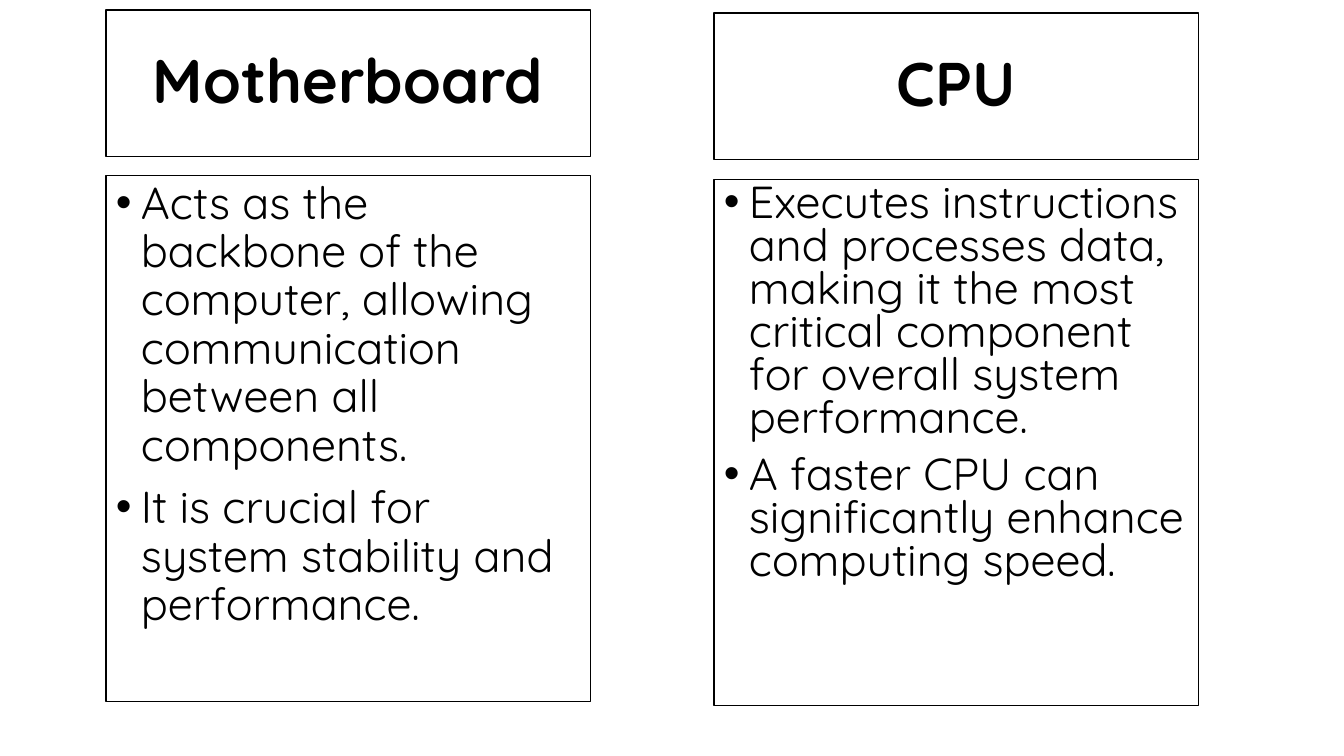
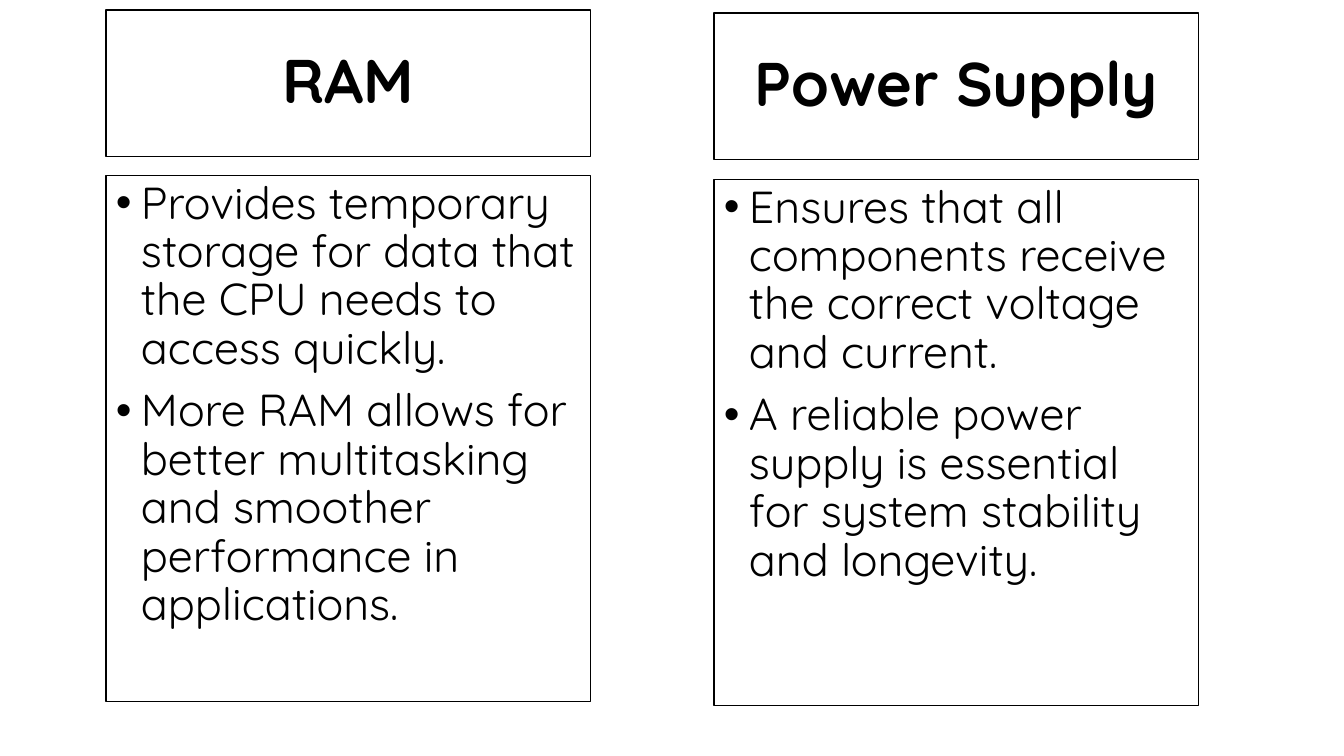
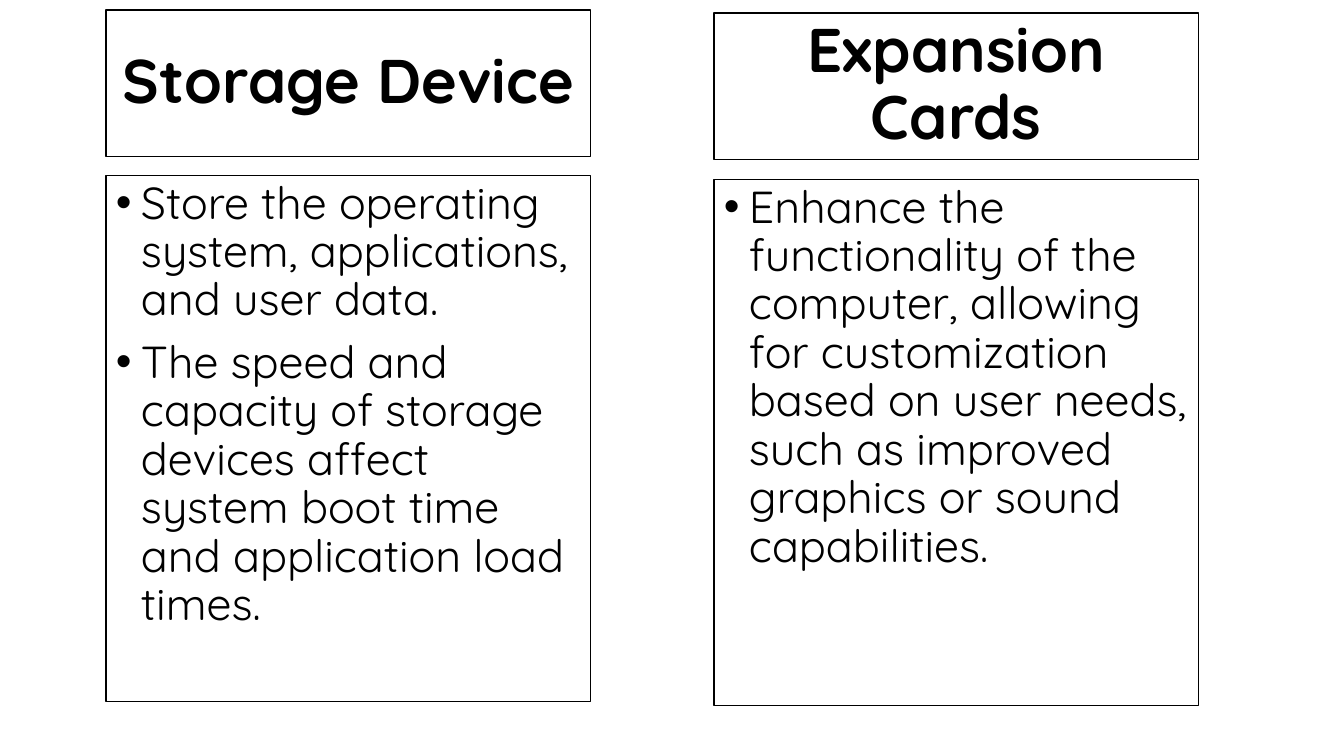
import pptx
import pptx.util
import pptx.dml.color
import pptx.enum.shapes
import pptx.enum.text
import pptx.oxml.ns
import lxml.etree

Inches = pptx.util.Inches
Pt = pptx.util.Pt
BLACK = pptx.dml.color.RGBColor(0x00, 0x00, 0x00)
WHITE = pptx.dml.color.RGBColor(0xFF, 0xFF, 0xFF)

# Left, heading top and points top of the two columns
LEFT_COLUMN = (1.05, 0.1, 1.74)
RIGHT_COLUMN = (7.08, 0.13, 1.78)

# Per slide, two components: name, points, line spacing of the points
COMPONENT_PAIRS = [
    [("Motherboard",
      ["Acts as the backbone of the computer, allowing communication between all components.",
       "It is crucial for system stability and performance."], 0.9),
     ("CPU",
      ["Executes instructions and processes data, making it the most critical component "
       "for overall system performance.",
       "A faster CPU can significantly enhance computing speed."], 0.8)],
    [("RAM",
      ["Provides temporary storage for data that the CPU needs to access quickly.",
       "More RAM allows for better multitasking and smoother performance in applications."], 0.9),
     ("Power Supply",
      ["Ensures that all components receive the correct voltage and current.",
       "A reliable power supply is essential for system stability and longevity."], 0.9)],
    [("Storage Device",
      ["Store the operating system, applications, and user data.",
       "The speed and capacity of storage devices affect system boot time "
       "and application load times."], 0.9),
     ("Expansion Cards",
      ["Enhance the functionality of the computer, allowing for customization based on "
       "user needs, such as improved graphics or sound capabilities."], 0.9)],
]


class ComponentDeck:
    """Holds the shared style and the current slide."""

    FONT = "Quicksand"
    COLUMN_WIDTH = Inches(4.81)
    HEADING_HEIGHT = Inches(1.45)
    POINTS_HEIGHT = Inches(5.22)
    BULLET_INDENT = Inches(0.25)

    def __init__(self):
        self.presentation = pptx.Presentation()
        self.presentation.slide_width = Inches(13.33)
        self.presentation.slide_height = Inches(7.5)
        self.slide = None

    def new_slide(self):
        self.slide = self.presentation.slides.add_slide(self.presentation.slide_layouts[5])

    def rectangle(self):
        box = self.slide.shapes.add_shape(
            pptx.enum.shapes.MSO_SHAPE.RECTANGLE, 0, 0, self.COLUMN_WIDTH, self.POINTS_HEIGHT)
        box.shadow.inherit = False
        return box

    def frame(self, box, left, top, height, anchor):
        """Place a box, outline it and return its text frame."""
        box.left, box.top = Inches(left), Inches(top)
        box.width, box.height = self.COLUMN_WIDTH, height
        box.fill.solid()
        box.fill.fore_color.rgb = WHITE
        box.line.color.rgb = BLACK
        box.line.width = Pt(1)
        text = box.text_frame
        text.word_wrap = True
        text.auto_size = pptx.enum.text.MSO_AUTO_SIZE.NONE
        text.vertical_anchor = anchor
        return text

    def add_wording(self, paragraph, wording, size, bold, alignment, line_spacing):
        paragraph.alignment = alignment
        paragraph.line_spacing = line_spacing
        run = paragraph.add_run()
        run.text = wording
        run.font.name = self.FONT
        run.font.size = Pt(size)
        run.font.bold = bold
        run.font.color.rgb = BLACK

    def heading(self, box, name, left, top):
        text = self.frame(box, left, top, self.HEADING_HEIGHT,
                          pptx.enum.text.MSO_ANCHOR.MIDDLE)
        self.add_wording(text.paragraphs[0], name, 44, True,
                         pptx.enum.text.PP_ALIGN.CENTER, 0.9)

    def points(self, wordings, left, top, line_spacing):
        text = self.frame(self.rectangle(), left, top, self.POINTS_HEIGHT,
                          pptx.enum.text.MSO_ANCHOR.TOP)
        for index, wording in enumerate(wordings):
            paragraph = text.add_paragraph() if index else text.paragraphs[0]
            self.add_wording(paragraph, wording, 32, False,
                             pptx.enum.text.PP_ALIGN.LEFT, line_spacing)
            paragraph.space_before = Pt(10)
            self.bullet(paragraph)

    def bullet(self, paragraph):
        properties = paragraph._p.get_or_add_pPr()
        properties.set("marL", str(self.BULLET_INDENT))
        properties.set("indent", str(-self.BULLET_INDENT))
        qn = pptx.oxml.ns.qn
        lxml.etree.SubElement(properties, qn("a:buFont")).set("typeface", "Arial")
        lxml.etree.SubElement(properties, qn("a:buChar")).set("char", "•")

    def column(self, heading_box, place, component):
        left, heading_top, points_top = place
        name, wordings, line_spacing = component
        self.heading(heading_box, name, left, heading_top)
        self.points(wordings, left, points_top, line_spacing)


def main():
    deck = ComponentDeck()
    for left_component, right_component in COMPONENT_PAIRS:
        deck.new_slide()
        # The left heading is the slide title
        deck.column(deck.slide.shapes.title, LEFT_COLUMN, left_component)
        deck.column(deck.rectangle(), RIGHT_COLUMN, right_component)
    deck.presentation.save("out.pptx")


if __name__ == "__main__":
    main()
